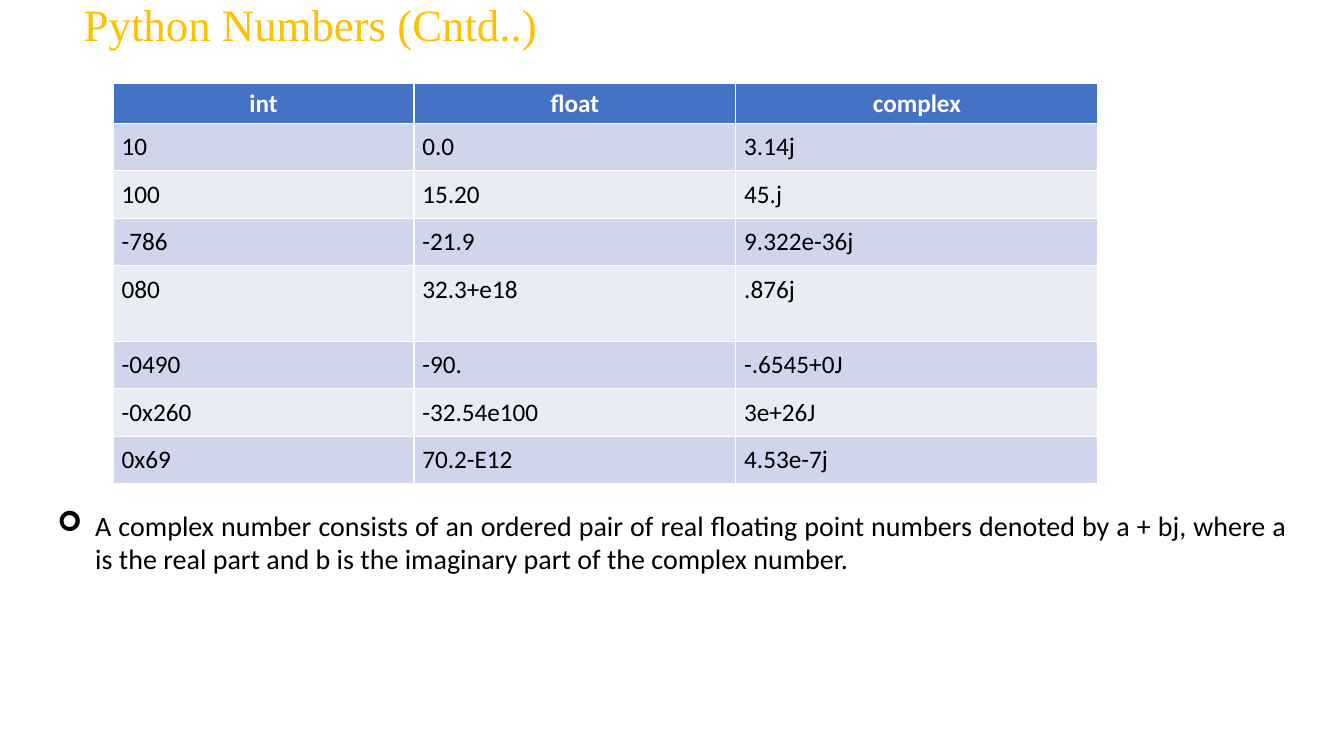
from lxml import etree
from pptx import Presentation
from pptx.dml.color import RGBColor
from pptx.enum.text import MSO_ANCHOR, MSO_AUTO_SIZE, PP_ALIGN
from pptx.oxml.ns import qn
from pptx.util import Pt

LEFT, CENTER, JUSTIFY = PP_ALIGN.LEFT, PP_ALIGN.CENTER, PP_ALIGN.JUSTIFY
TOP, MIDDLE = MSO_ANCHOR.TOP, MSO_ANCHOR.MIDDLE
FIXED, GROW = MSO_AUTO_SIZE.NONE, MSO_AUTO_SIZE.SHAPE_TO_FIT_TEXT

COLORS = {
    "title": "FFC000",
    "header": "4472C4",
    "header_text": "FFFFFF",
    "odd_row": "CFD5EA",
    "even_row": "E9EBF5",
    "text": "000000",
}

TITLE_FONT = {"name": "Times New Roman", "size": Pt(32)}
HEADER_FONT = {"name": "Calibri", "size": Pt(18), "bold": True}
CELL_FONT = {"name": "Calibri", "size": Pt(18), "bold": False}
BODY_FONT = {"name": "Calibri", "size": Pt(20)}
CELL_MARGINS = {
    f"margin_{side}": Pt(6) for side in ("left", "top", "right", "bottom")
}

COLUMN_WIDTHS = [214.8, 229.9, 258.7]
ROW_HEIGHTS = [28.8, 33.9, 33.9, 33.9, 54, 33.9, 33.9, 33.9]
NUMBERS = [
    ("int", "float", "complex"),
    ("10", "0.0", "3.14j"),
    ("100", "15.20", "45.j"),
    ("-786", "-21.9", "9.322e-36j"),
    ("080", "32.3+e18", ".876j"),
    ("-0490", "-90.", "-.6545+0J"),
    ("-0x260", "-32.54e100", "3e+26J"),
    ("0x69", "70.2-E12", "4.53e-7j"),
]
EXPLANATION = (
    "A complex number consists of an ordered pair of real floating point "
    "numbers denoted by a + bj, where a is the real part and b is the "
    "imaginary part of the complex number."
)


def set_attributes(target, values):
    for name, value in values.items():
        setattr(target, name, value)


def write_text(text_frame, text, font, color, paragraph_format):
    paragraph = text_frame.paragraphs[0]
    run = paragraph.add_run()
    run.text = text
    set_attributes(run.font, font)
    run.font.color.rgb = RGBColor.from_string(COLORS[color])
    set_attributes(paragraph, paragraph_format)
    return paragraph


def place(shape, left, top, width, height):
    box = {"left": left, "top": top, "width": width, "height": height}
    set_attributes(shape, {name: Pt(value) for name, value in box.items()})


def add_bullet(paragraph, character, indent):
    properties = paragraph._p.get_or_add_pPr()
    properties.set("marL", str(Pt(indent)))
    properties.set("indent", str(-Pt(indent)))
    etree.SubElement(properties, qn("a:buFont"), typeface="Wingdings")
    etree.SubElement(properties, qn("a:buChar"), char=character)


def fill_title(title):
    place(title, 52.6, 0, 765.4, 38.2)
    set_attributes(
        title.text_frame, {"vertical_anchor": MIDDLE, "auto_size": FIXED}
    )
    write_text(title.text_frame, "Python Numbers (Cntd..)", TITLE_FONT, "title",
               {"alignment": LEFT, "line_spacing": 0.9})


def fill_body(body):
    place(body, 33.8, 359.3, 892.8, 55.4)
    set_attributes(
        body.text_frame, {"vertical_anchor": TOP, "auto_size": GROW}
    )
    paragraph = write_text(
        body.text_frame, EXPLANATION, BODY_FONT, "text",
        {"alignment": JUSTIFY, "line_spacing": 1.0, "space_before": Pt(0)})
    add_bullet(paragraph, "➢", 27)


def fill_cell(cell, text, row):
    cell.fill.solid()
    if row == 0:
        fill, font, color, alignment = "header", HEADER_FONT, "header_text", CENTER
    else:
        fill = "odd_row" if row % 2 else "even_row"
        font, color, alignment = CELL_FONT, "text", LEFT
        set_attributes(cell, CELL_MARGINS)
    cell.fill.fore_color.rgb = RGBColor.from_string(COLORS[fill])
    write_text(cell.text_frame, text, font, color, {"alignment": alignment})


def add_number_table(slide):
    frame = slide.shapes.add_table(
        len(ROW_HEIGHTS), len(COLUMN_WIDTHS), Pt(80.9), Pt(59.3),
        Pt(sum(COLUMN_WIDTHS)), Pt(sum(ROW_HEIGHTS)))
    table = frame.table
    for column, width in zip(table.columns, COLUMN_WIDTHS):
        column.width = Pt(width)
    for row, height in zip(table.rows, ROW_HEIGHTS):
        row.height = Pt(height)
    for row, texts in enumerate(NUMBERS):
        for column, text in enumerate(texts):
            fill_cell(table.cell(row, column), text, row)


def main():
    presentation = Presentation()
    presentation.slide_width, presentation.slide_height = Pt(960), Pt(540)
    slide = presentation.slides.add_slide(presentation.slide_layouts[1])
    fill_title(slide.shapes.title)
    add_number_table(slide)
    fill_body(slide.placeholders[1])
    presentation.save("out.pptx")


if __name__ == "__main__":
    main()
